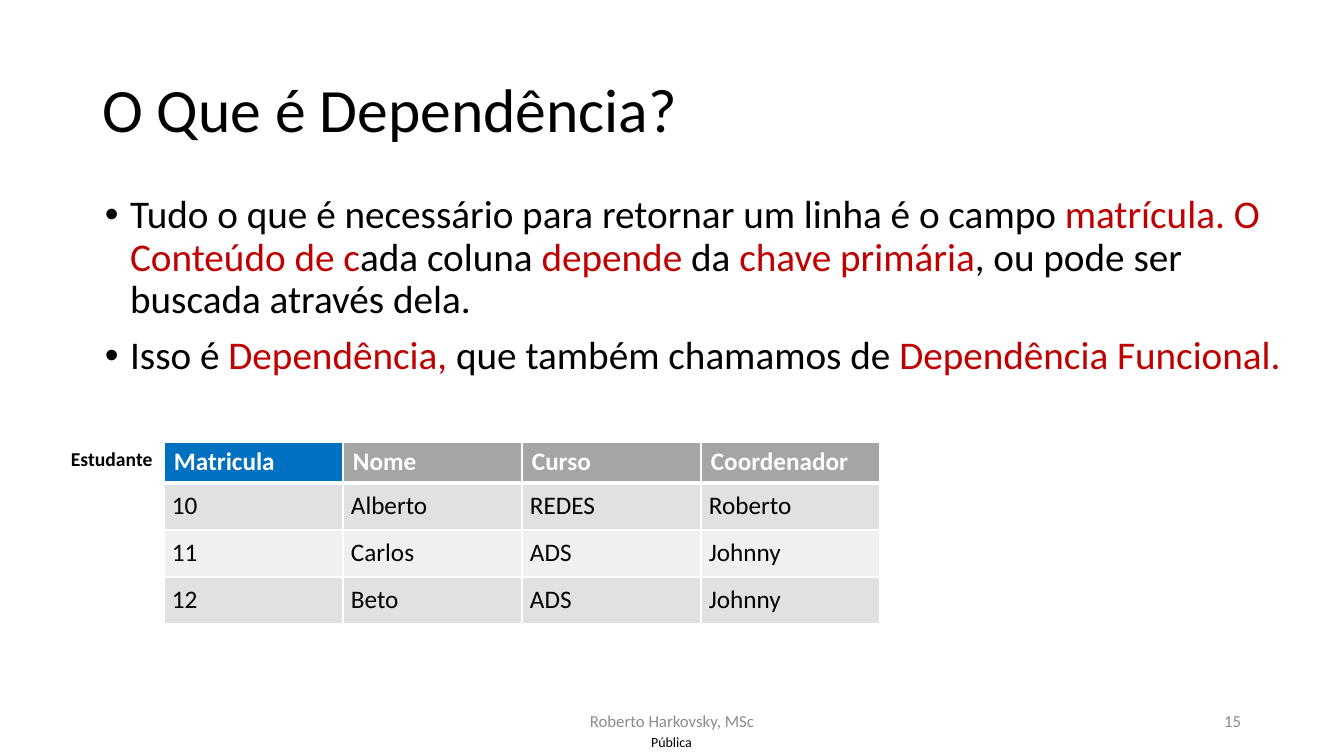
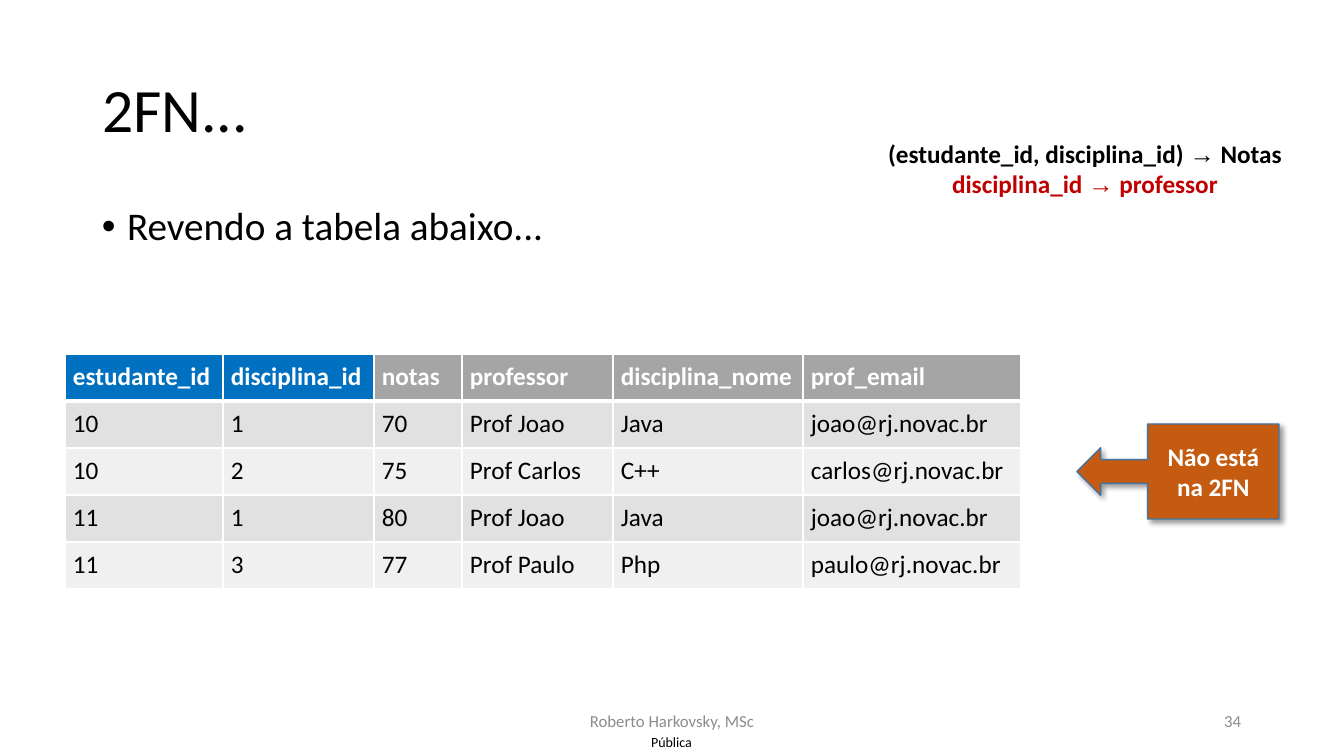
from pptx import Presentation
from pptx.dml.color import RGBColor
from pptx.enum.shapes import MSO_SHAPE as SHAPE
from pptx.enum.text import MSO_ANCHOR as ANCHOR, MSO_AUTO_SIZE as AUTO, PP_ALIGN as ALIGN
from pptx.oxml import parse_xml
from pptx.oxml.ns import nsdecls
from pptx.util import Pt

PX = 9071
BLACK = RGBColor(0, 0, 0)
WHITE = RGBColor(255, 255, 255)
RED = RGBColor(0xC0, 0, 0)
BLUE = RGBColor(0, 0x70, 0xC0)
GRAY = RGBColor(0xA5, 0xA5, 0xA5)
FOOTER = RGBColor(0x8C, 0x8C, 0x8C)
BANDS = [RGBColor(0xE1, 0xE1, 0xE1), RGBColor(0xF0, 0xF0, 0xF0)]
ORANGE = RGBColor(0xC5, 0x5A, 0x11)
OUTLINE = RGBColor(0x43, 0x73, 0x9E)


def box(s, x, y, w, h):
    return s.shapes.add_textbox(x * PX, y * PX, w * PX, h * PX).text_frame


def write(tf, *paragraphs, size=18, color=BLACK, bold=False, align=ALIGN.LEFT,
          anchor=ANCHOR.TOP, wrap=True, spacing=None, bullet=False):
    tf.word_wrap = wrap
    tf.auto_size = AUTO.NONE
    tf.vertical_anchor = anchor
    for i, runs in enumerate(paragraphs):
        p = tf.add_paragraph() if i else tf.paragraphs[0]
        p.alignment = align
        if bullet:
            pPr = p._p.get_or_add_pPr()
            pPr.set("marL", "228600")
            pPr.set("indent", "-228600")
            pPr.append(parse_xml(f'<a:buFont {nsdecls("a")} typeface="Arial"/>'))
            pPr.append(parse_xml(f'<a:buChar {nsdecls("a")} char="•"/>'))
        if spacing:
            p.line_spacing = spacing
        if i and bullet:
            p.space_before = Pt(10)
        for text, run_color in [(runs, color)] if isinstance(runs, str) else runs:
            r = p.add_run()
            r.text = text
            r.font.name = "Arial" if text == "→" else "Calibri"
            r.font.size = Pt(size)
            r.font.bold = bold
            r.font.color.rgb = run_color


prs = Presentation()
prs.slide_width, prs.slide_height = 1344 * PX, 756 * PX

slides = []
for title, number in [("O Que é Dependência?", "15"), ("2FN...", "34")]:
    s = prs.slides.add_slide(prs.slide_layouts[5])
    slides.append(s)
    sp = s.shapes.title
    sp.left, sp.top, sp.width, sp.height = 92 * PX, 40 * PX, 1159 * PX, 146 * PX
    write(sp.text_frame, title, size=44, anchor=ANCHOR.MIDDLE, spacing=0.9)
    write(box(s, 445, 701, 454, 40), "Roberto Harkovsky, MSc", size=12, color=FOOTER,
          align=ALIGN.CENTER, anchor=ANCHOR.MIDDLE)
    write(box(s, 949, 701, 302, 40), number, size=12, color=FOOTER,
          align=ALIGN.RIGHT, anchor=ANCHOR.MIDDLE)
    tf = box(s, 636, 727, 71, 29)
    tf.margin_left = tf.margin_right = tf.margin_top = tf.margin_bottom = 0
    write(tf, "Pública", size=10, align=ALIGN.CENTER, anchor=ANCHOR.MIDDLE)

dependency, second_form = slides

write(box(dependency, 95, 190, 1199, 480),
      [("Tudo o que é necessário para retornar um linha é o campo ", BLACK),
       ("matrícula. O Conteúdo de c", RED), ("ada coluna ", BLACK),
       ("depende", RED), (" da ", BLACK), ("chave primária", RED),
       (", ou pode ser buscada através dela.", BLACK)],
      [("Isso é ", BLACK), ("Dependência, ", RED),
       ("que também chamamos de ", BLACK), ("Dependência Funcional.", RED)],
      size=28, spacing=0.9, bullet=True)
write(box(dependency, 61, 442, 103, 34), "Estudante", size=14, bold=True, wrap=False)

write(box(second_form, 92, 202, 1159, 56), "Revendo a tabela abaixo...",
      size=28, spacing=0.9, bullet=True)
write(box(second_form, 877, 133, 416, 102),
      [("(estudante_id, disciplina_id) ", BLACK), ("→", BLACK), (" Notas", BLACK)],
      [("disciplina_id ", RED), ("→", RED), (" professor", RED)],
      bold=True, align=ALIGN.CENTER, wrap=False)

sp = second_form.shapes.add_shape(SHAPE.LEFT_ARROW_CALLOUT,
                                  1077 * PX, 424 * PX, 202 * PX, 95 * PX)
sp.fill.solid()
sp.fill.fore_color.rgb = ORANGE
sp.line.color.rgb = OUTLINE
sp.line.width = Pt(1)
sp._element.spPr.append(parse_xml(
    f'<a:effectLst {nsdecls("a")}><a:outerShdw blurRad="50800" dist="38100" dir="2700000" '
    'algn="tl" rotWithShape="0"><a:srgbClr val="000000"><a:alpha val="40000"/></a:srgbClr>'
    '</a:outerShdw></a:effectLst>'))
write(sp.text_frame, "Não está na 2FN", color=WHITE, bold=True,
      align=ALIGN.CENTER, anchor=ANCHOR.MIDDLE)

students = [
    ["Matricula", "Nome", "Curso", "Coordenador"],
    ["10", "Alberto", "REDES", "Roberto"],
    ["11", "Carlos", "ADS", "Johnny"],
    ["12", "Beto", "ADS", "Johnny"],
]
grades = [
    ["estudante_id", "disciplina_id", "notas", "professor", "disciplina_nome", "prof_email"],
    ["10", "1", "70", "Prof Joao", "Java", "joao@rj.novac.br"],
    ["10", "2", "75", "Prof Carlos", "C++", "carlos@rj.novac.br"],
    ["11", "1", "80", "Prof Joao", "Java", "joao@rj.novac.br"],
    ["11", "3", "77", "Prof Paulo", "Php", "paulo@rj.novac.br"],
]
tables = [
    (dependency, 164, 442, [179] * 4, 41, (10, 5), 1, students),
    (second_form, 65, 354, [158, 151, 88, 151, 190, 218], 47, (8, 8), 2, grades),
]
for s, x, y, widths, header_height, header_margins, keys, rows in tables:
    heights = [header_height] + [47] * (len(rows) - 1)
    table = s.shapes.add_table(len(rows), len(widths), x * PX, y * PX,
                               sum(widths) * PX, sum(heights) * PX).table
    for column, width in zip(table.columns, widths):
        column.width = width * PX
    for i, values in enumerate(rows):
        table.rows[i].height = heights[i] * PX
        side, edge = (8, 8) if i else header_margins
        for j, value in enumerate(values):
            cell = table.cell(i, j)
            cell.margin_left = cell.margin_right = side * PX
            cell.margin_top = cell.margin_bottom = edge * PX
            tcPr = cell._tc.get_or_add_tcPr()
            for name in ("lnL", "lnR", "lnT", "lnB"):
                width = Pt(3 if (i, name) in [(0, "lnB"), (1, "lnT")] else 1)
                tcPr.append(parse_xml(
                    f'<a:{name} {nsdecls("a")} w="{width}"><a:solidFill>'
                    f'<a:srgbClr val="{WHITE}"/></a:solidFill></a:{name}>'))
            cell.fill.solid()
            header_fill = BLUE if j < keys else GRAY
            cell.fill.fore_color.rgb = BANDS[(i - 1) % 2] if i else header_fill
            write(cell.text_frame, value, color=BLACK if i else WHITE, bold=i == 0)

prs.save("out.pptx")
